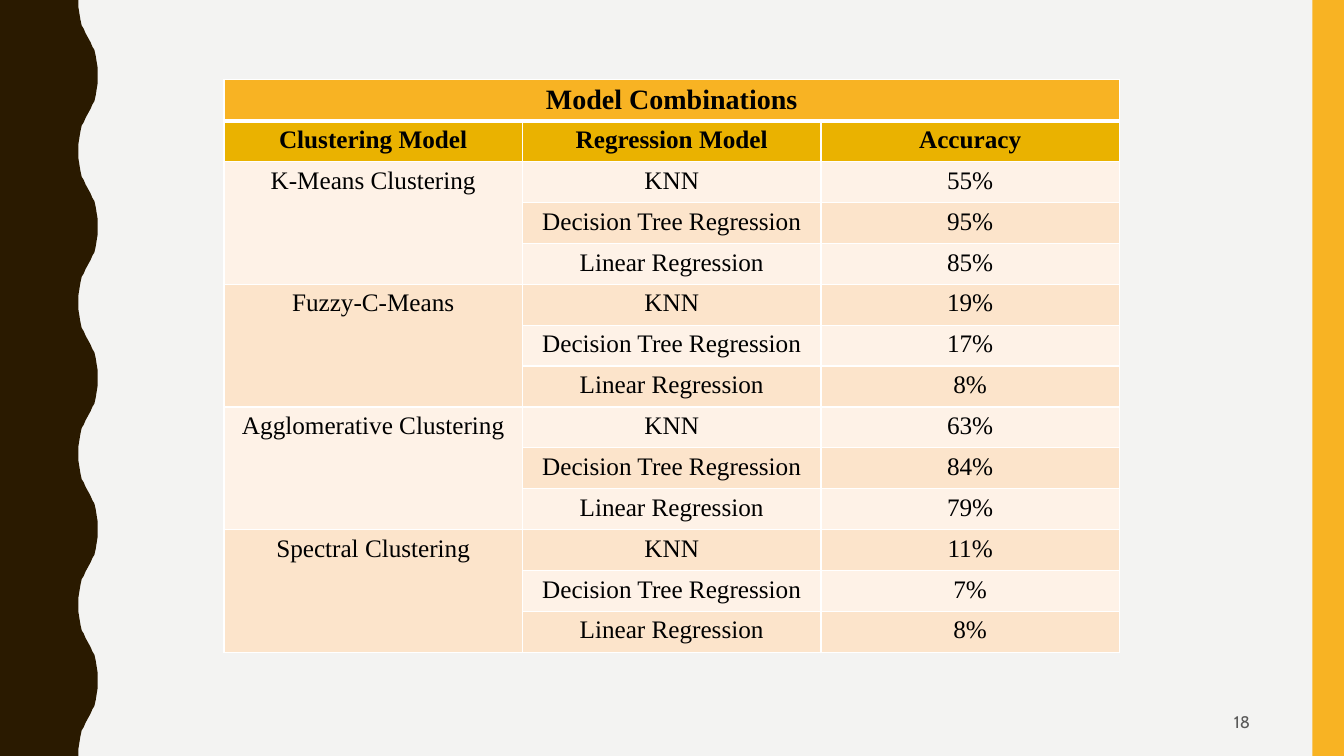
import pptx
import pptx.util
import pptx.dml.color
import pptx.enum.shapes
import pptx.enum.text
import pptx.oxml
import pptx.oxml.ns

Pt = pptx.util.Pt
RGB = pptx.dml.color.RGBColor
ALIGN = pptx.enum.text.PP_ALIGN

PAPER = RGB(0xF3, 0xF3, 0xF2)
BROWN = RGB(0x2A, 0x1A, 0x00)
AMBER = RGB(0xF8, 0xB3, 0x23)
GOLD = RGB(0xEA, 0xB2, 0x00)
CREAM = RGB(0xFE, 0xF2, 0xE7)
PEACH = RGB(0xFC, 0xE4, 0xCB)
BLACK = RGB(0, 0, 0)
GRAY = RGB(0x59, 0x59, 0x59)
WHITE = RGB(0xFF, 0xFF, 0xFF)

WIDE, HIGH = 960, 540
HEADS = ["Clustering Model", "Regression Model", "Accuracy"]
MODELS = ["KNN", "Decision Tree Regression", "Linear Regression"]
SCORES = {
    "K-Means Clustering": ["55%", "95%", "85%"],
    "Fuzzy-C-Means": ["19%", "17%", "8%"],
    "Agglomerative Clustering": ["63%", "84%", "79%"],
    "Spectral Clustering": ["11%", "7%", "8%"],
}
# Half a wave, from trough to crest, as fractions of depth and period
HALF = [(0, 0), (0, 0.05), (0.05, 0.09), (0.1, 0.13), (0.17, 0.17),
        (0.27, 0.19), (0.37, 0.22), (0.5, 0.25), (0.63, 0.28),
        (0.73, 0.31), (0.83, 0.33), (0.9, 0.37), (0.95, 0.41),
        (1, 0.45), (1, 0.5)]


def paint(shape, color):
    shape.fill.solid()
    shape.fill.fore_color.rgb = color
    shape.line.fill.background()
    shape.shadow.inherit = False


def style(para, font, size, color, bold=False, align=ALIGN.CENTER):
    para.alignment = align
    for run in para.runs:
        run.font.name = font
        run.font.size = Pt(size)
        run.font.bold = bold
        run.font.color.rgb = color


def add_wave(slide, left, top, width, height):
    depth, period = 13.7, 108
    base = left + width - depth
    # The second half mirrors the first about the crest
    wave = HALF + [(x, 1 - y) for x, y in HALF[-2::-1]]
    edge = [(base + x * depth, top + (turn + y) * period)
            for turn in range(round(height / period)) for x, y in wave]
    points = edge + [(left, top + height)]
    pen = slide.shapes.build_freeform(Pt(left), Pt(top))
    pen.add_line_segments([(Pt(x), Pt(y)) for x, y in points], close=True)
    paint(pen.convert_to_shape(), BROWN)


def add_bar(slide, left, top, width, height):
    kind = pptx.enum.shapes.MSO_SHAPE.RECTANGLE
    bar = slide.shapes.add_shape(kind, Pt(left), Pt(top), Pt(width), Pt(height))
    paint(bar, AMBER)


def add_rules(cell, above, below):
    props = cell._tc.get_or_add_tcPr()
    for side, width in (("L", 1), ("R", 1), ("T", above), ("B", below)):
        props.append(pptx.oxml.parse_xml(
            f'<a:ln{side} {pptx.oxml.ns.nsdecls("a")} w="{Pt(width)}">'
            f'<a:solidFill><a:srgbClr val="{WHITE}"/></a:solidFill>'
            f'</a:ln{side}>'))


def add_grid(slide, left, top, width, height):
    rows = [["Model Combinations", "", ""], HEADS]
    for group, scores in SCORES.items():
        for i, (model, score) in enumerate(zip(MODELS, scores)):
            rows.append([group if i == 0 else "", model, score])
    frame = slide.shapes.add_table(len(rows), len(HEADS), Pt(left), Pt(top),
                                   Pt(width), Pt(height))
    table = frame.table
    table.first_row = table.horz_banding = False
    for col in table.columns:
        col.width = Pt(width / len(HEADS))
    for r, row in enumerate(rows):
        table.rows[r].height = Pt(height / len(rows))
        band = CREAM if r % 2 == 0 else PEACH
        color = (AMBER, GOLD)[r] if r < 2 else band
        for c, text in enumerate(row):
            cell = table.cell(r, c)
            add_rules(cell, 3 if r == 1 else 1, 3 if r == 0 else 1)
            cell.fill.solid()
            cell.fill.fore_color.rgb = color
            if text:
                cell.text_frame.text = text
                style(cell.text_frame.paragraphs[0], "Times New Roman",
                      20 if r == 0 else 18, BLACK, bold=r < 2)
    # Title spans the columns, each clustering model its three rows
    table.cell(0, 0).merge(table.cell(0, len(HEADS) - 1))
    step = len(MODELS)
    for r in range(2, len(rows), step):
        table.cell(r, 0).merge(table.cell(r + step - 1, 0))


def add_page(slide, left, top, width, height):
    box = slide.shapes.add_textbox(Pt(left), Pt(top), Pt(width), Pt(height))
    frame = box.text_frame
    frame.word_wrap = True
    frame.vertical_anchor = pptx.enum.text.MSO_ANCHOR.MIDDLE
    frame.text = "18"
    style(frame.paragraphs[0], "Cabin", 12, GRAY, align=ALIGN.RIGHT)


def main():
    deck = pptx.Presentation()
    deck.slide_width, deck.slide_height = Pt(WIDE), Pt(HIGH)
    slide = deck.slides.add_slide(deck.slide_layouts[6])
    slide.background.fill.solid()
    slide.background.fill.fore_color.rgb = PAPER
    add_wave(slide, 0, 0, 69.8, HIGH)
    add_bar(slide, 937.5, 0, 22.5, HIGH)
    add_grid(slide, 160, 56.9, 639.6, 408.8)
    add_page(slide, 678.2, 501.8, 221.8, 27.4)
    deck.save("out.pptx")


if __name__ == "__main__":
    main()
